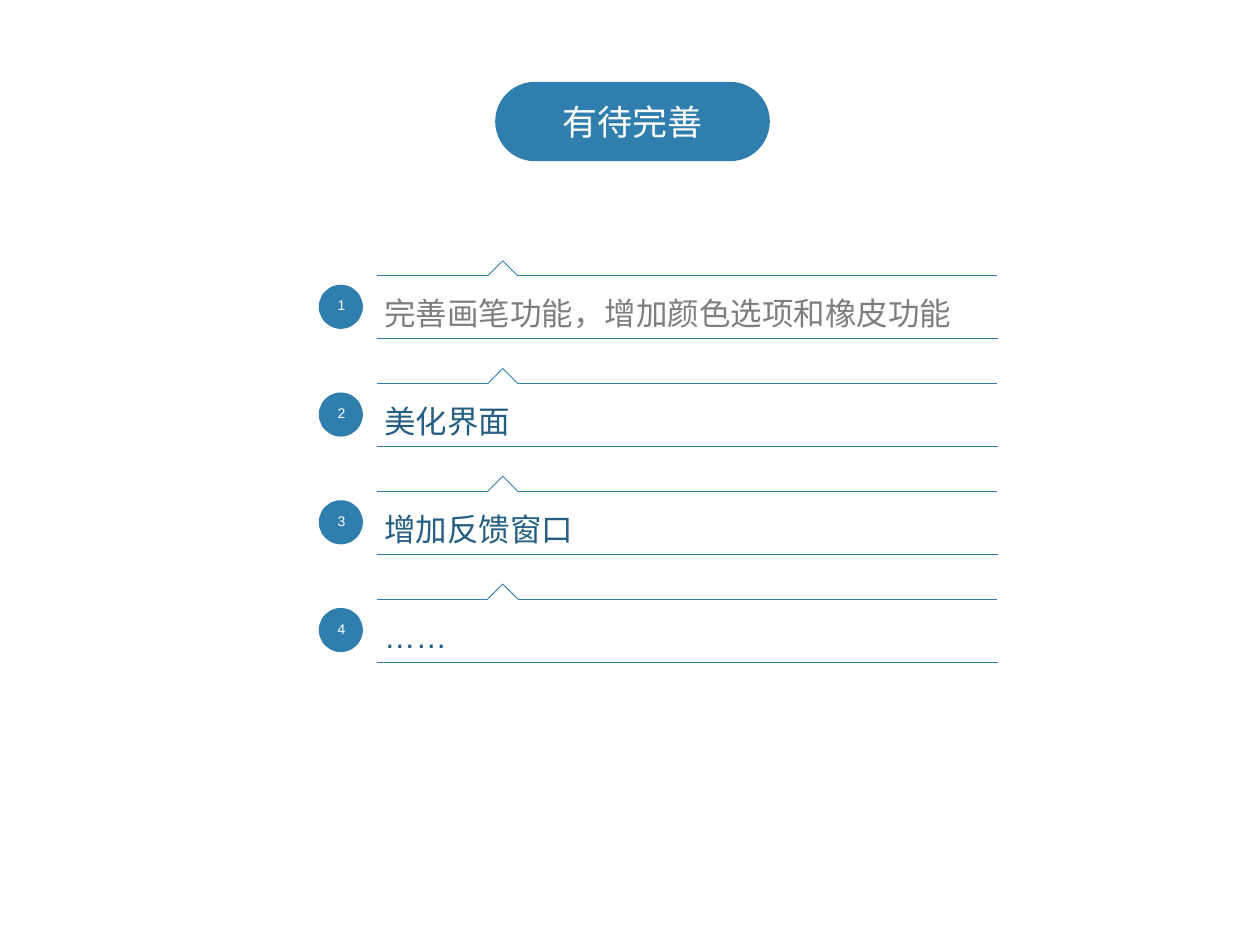
import pptx
import pptx.util
import pptx.dml.color
import pptx.enum.shapes
import pptx.enum.text
from lxml import etree
from pptx.util import Inches

# Content
TITLE = "有待完善"
CJK, LATIN = "Noto Sans CJK SC", "Arial"
# text, colour role, Latin font, East Asian font
IMPROVEMENTS = [
    ("完善画笔功能，增加颜色选项和橡皮功能", "muted", CJK, CJK),
    ("美化界面", "dark", LATIN, CJK),
    ("增加反馈窗口", "dark", LATIN, CJK),
    ("……", "dark", LATIN, LATIN),
]

THEME = {
    "accent": "307EAE", "white": "FFFFFF", "muted": "7E7E7E", "dark": "245E83",
    "title_size": 20, "item_size": 18, "number_size": 8, "rule_width": 0.5,
}

# Layout, in inches
TITLE_BOX = (3.93, 0.65, 2.18, 0.63)
FIRST_ROW_TOP, ROW_PITCH = 2.19, 0.855
ROW_HEIGHT = 0.5
RULE_LEFT, RULE_RIGHT = 2.99, 7.92
NOTCH_CENTER, NOTCH_SIZE = 3.99, 0.12
BADGE_LEFT, BADGE_DROP, BADGE_SIZE = 2.53, 0.07, 0.35
ITEM_LEFT, ITEM_WIDTH = 2.95, 5.58

ALIGN = pptx.enum.text.PP_ALIGN
SHAPES = pptx.enum.shapes.MSO_SHAPE
A_NS = "http://schemas.openxmlformats.org/drawingml/2006/main"


def color(role):
    return pptx.dml.color.RGBColor.from_string(THEME[role])


def write(owner, text, size, role, align, spacing=1.0, latin=LATIN, east_asian=CJK):
    frame = owner.text_frame
    frame.text = text
    frame.word_wrap = True
    frame.auto_size = pptx.enum.text.MSO_AUTO_SIZE.NONE
    frame.vertical_anchor = pptx.enum.text.MSO_ANCHOR.MIDDLE
    paragraph = frame.paragraphs[0]
    paragraph.alignment = align
    paragraph.line_spacing = spacing
    font = paragraph.font
    font.size = pptx.util.Pt(THEME[size])
    font.color.rgb = color(role)
    font.name = latin
    etree.SubElement(font._element, f"{{{A_NS}}}ea", typeface=east_asian)


def add_filled(shapes, kind, box):
    shape = shapes.add_shape(kind, *map(Inches, box))
    shape.shadow.inherit = False
    shape.fill.solid()
    shape.fill.fore_color.rgb = color("accent")
    shape.line.fill.background()
    return shape


def add_rule(shapes, start, end):
    rule = shapes.add_connector(pptx.enum.shapes.MSO_CONNECTOR.STRAIGHT,
                                *map(Inches, start + end))
    rule.line.color.rgb = color("accent")
    rule.line.width = pptx.util.Pt(THEME["rule_width"])
    etree.SubElement(rule._element.spPr, f"{{{A_NS}}}effectLst")


def add_row(slide, number, improvement):
    text, role, latin, east_asian = improvement
    top = FIRST_ROW_TOP + (number - 1) * ROW_PITCH
    bottom = top + ROW_HEIGHT
    row = slide.shapes.add_group_shape().shapes

    # Bottom rule, then the notched top rule
    add_rule(row, (RULE_LEFT, bottom), (RULE_RIGHT, bottom))
    outline = [
        (RULE_LEFT, top),
        (NOTCH_CENTER - NOTCH_SIZE, top),
        (NOTCH_CENTER, top - NOTCH_SIZE),
        (NOTCH_CENTER + NOTCH_SIZE, top),
        (RULE_RIGHT - 0.01, top),
    ]
    for start, end in zip(outline, outline[1:]):
        add_rule(row, start, end)

    # Number badge
    badge = add_filled(row, SHAPES.OVAL,
                       (BADGE_LEFT, top + BADGE_DROP, BADGE_SIZE, BADGE_SIZE))
    write(badge, str(number), "number_size", "white", ALIGN.CENTER, 0.8)

    # Item text
    item = row.add_textbox(*map(Inches, (ITEM_LEFT, top, ITEM_WIDTH, ROW_HEIGHT)))
    write(item, text, "item_size", role, ALIGN.LEFT, 1.3, latin, east_asian)


def main():
    presentation = pptx.Presentation()
    presentation.slide_width, presentation.slide_height = Inches(10), Inches(7.5)
    slide = presentation.slides.add_slide(presentation.slide_layouts[5])

    # Title on its pill, which is moved behind the title text
    pill = add_filled(slide.shapes, SHAPES.ROUNDED_RECTANGLE, TITLE_BOX)
    pill.adjustments[0] = 0.5
    title = slide.shapes.title
    title.left, title.top, title.width, title.height = map(Inches, TITLE_BOX)
    write(title, TITLE, "title_size", "white", ALIGN.CENTER)
    title._element.addprevious(pill._element)

    # Numbered improvements
    for number, improvement in enumerate(IMPROVEMENTS, 1):
        add_row(slide, number, improvement)

    presentation.save("out.pptx")


if __name__ == "__main__":
    main()
